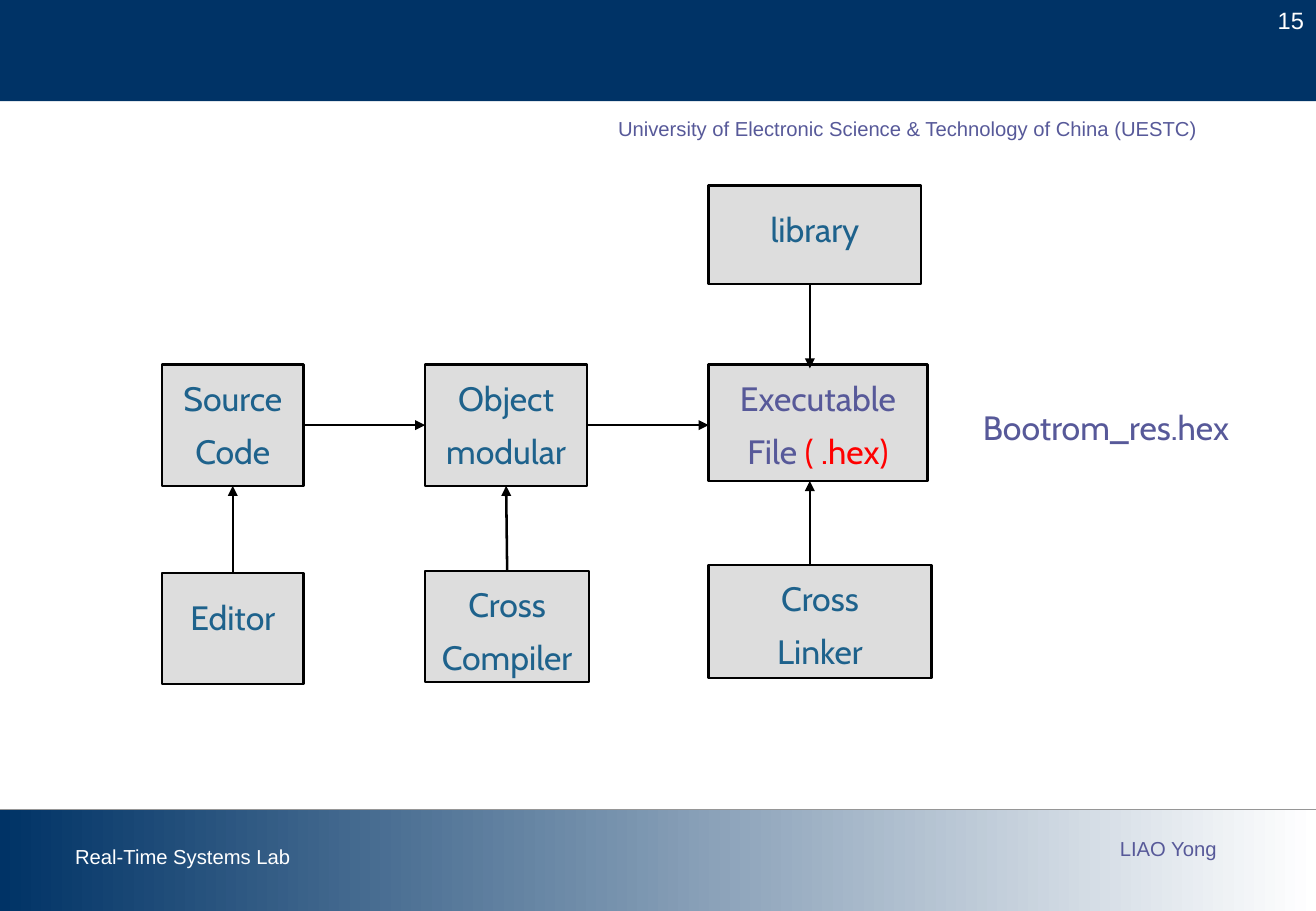
"""Builds the cross-development tool chain slide on a 65 by 45 grid."""
from dataclasses import dataclass
from typing import NamedTuple, Union

from lxml.etree import SubElement
from pptx import Presentation
from pptx.dml.color import RGBColor
from pptx.enum.shapes import MSO_CONNECTOR as Link, MSO_SHAPE as Preset
from pptx.enum.text import MSO_ANCHOR as Anchor, PP_ALIGN as Align
from pptx.oxml.ns import qn
from pptx.shapes.autoshape import Shape
from pptx.shapes.connector import Connector
from pptx.text.text import TextFrame
from pptx.util import Emu, Inches, Pt

COLUMNS, ROWS = 65, 45
TOP, LEFT, BOTTOM, RIGHT = range(4)


@dataclass(frozen=True)
class Theme:
    """Colours, fonts and sizes of the slide."""
    navy: str = "003366"
    white: str = "FFFFFF"
    rule: str = "969696"
    ink: str = "000000"
    panel: str = "DDDDDD"
    teal: str = "1E628C"
    violet: str = "575999"
    red: str = "FF0000"
    frame_font: str = "Arial"
    diagram_font: str = "Cabin"
    caption: int = 12
    page: int = 14
    diagram: int = 20
    hairline: float = 0.75
    outline: float = 1.5


THEME = Theme()


class Area(NamedTuple):
    """Left, top, width and height in grid units."""
    left: float
    top: float
    width: float
    height: float


class Point(NamedTuple):
    """A free position in grid units."""
    x: float
    y: float


class Side(NamedTuple):
    """The middle of one side of a named stage."""
    stage: str
    site: int


@dataclass(frozen=True)
class Stage:
    """One box of the tool chain."""
    name: str
    area: Area
    lines: tuple[str, ...]
    accent: str = ""
    color: str = THEME.teal
    spacing: float = 1.3


@dataclass(frozen=True)
class Flow:
    """One arrow of the tool chain."""
    start: Union[Point, Side]
    end: Union[Point, Side]


@dataclass(frozen=True)
class Label:
    """One free-standing line of text."""
    area: Area
    text: str
    color: str
    size: int = THEME.caption
    font: str = THEME.frame_font
    align: Align = Align.LEFT
    spacing: float = 1.0
    wrap: bool = False


STAGES = (
    Stage("editor", Area(8, 28.3, 7, 5.5), ("Editor",), spacing=1.55),
    Stage("compiler", Area(21, 28.2, 8.1, 5.5), ("Cross", "Compiler")),
    Stage("linker", Area(35, 27.9, 11, 5.6), ("Cross", "Linker")),
    Stage("source", Area(8, 18, 7, 6), ("Source Code",)),
    Stage("executable", Area(35, 18, 10.8, 5.76), ("Executable", "File"),
          accent=" ( .hex)", color=THEME.violet),
    Stage("library", Area(35, 9.17, 10.5, 4.86), ("library",), spacing=1.55),
    Stage("object", Area(21, 18, 8, 6), ("Object modular",)),
)
FLOWS = (
    Flow(Side("editor", TOP), Side("source", BOTTOM)),
    Flow(Side("compiler", TOP), Side("object", BOTTOM)),
    Flow(Point(40, 27.96), Point(40, 23.76)),
    Flow(Side("source", RIGHT), Side("object", LEFT)),
    Flow(Side("object", RIGHT), Point(35, 21)),
    Flow(Point(40, 14), Point(40, 18.2)),
)
LABELS = (
    Label(Area(61.2, 0, 3.8, 2), "15", THEME.white, THEME.page,
          align=Align.RIGHT, wrap=True),
    Label(Area(3.12, 41.4, 12.1, 1.8), "Real-Time Systems Lab", THEME.white),
    Label(Area(54.72, 41, 6.1, 1.8), "LIAO Yong", THEME.violet),
    Label(Area(29.94, 5.46, 35.06, 1.8),
          "University of Electronic Science & Technology of China (UESTC)",
          THEME.violet, wrap=True),
    Label(Area(47.76, 20, 13.74, 2.4), "Bootrom_res.hex", THEME.violet,
          THEME.diagram, THEME.diagram_font, Align.CENTER, 0.9),
)

deck = Presentation()
deck.slide_width, deck.slide_height = Inches(10.83), Inches(7.5)
slide = deck.slides.add_slide(deck.slide_layouts[6])


def rgb(code: str) -> RGBColor:
    """Turns a hex code into a colour."""
    return RGBColor.from_string(code)


def across(columns: float) -> Emu:
    """Converts grid columns to a length."""
    return Emu(round(deck.slide_width * columns / COLUMNS))


def down(rows: float) -> Emu:
    """Converts grid rows to a length."""
    return Emu(round(deck.slide_height * rows / ROWS))


def place(area: Area) -> tuple[Emu, Emu, Emu, Emu]:
    """Converts a grid area to lengths."""
    return across(area.left), down(area.top), across(area.width), down(area.height)


def write(frame: TextFrame, lines: tuple[str, ...], *, color: str, size: int,
          font: str, align: Align, spacing: float, accent: str = "",
          wrap: bool = True) -> None:
    """Fills a frame with formatted lines and an optional red ending."""
    frame.word_wrap, frame.vertical_anchor = wrap, Anchor.TOP
    for index, line in enumerate(lines):
        paragraph = frame.add_paragraph() if index else frame.paragraphs[0]
        paragraph.alignment, paragraph.line_spacing = align, spacing
        ending = accent if index == len(lines) - 1 else ""
        for words, tint in ((line, color), (ending, THEME.red)):
            if words:
                run = paragraph.add_run()
                run.text = words
                run.font.size, run.font.name = Pt(size), font
                run.font.color.rgb = rgb(tint)


def draw_band(area: Area, fade: str = "") -> None:
    """Draws a navy band, fading to the right on request."""
    band = slide.shapes.add_shape(Preset.RECTANGLE, *place(area))
    band.shadow.inherit = False
    band.line.fill.background()
    if fade:
        band.fill.gradient()
        band.fill.gradient_angle = 0
        for stop, tint in zip(band.fill.gradient_stops, (THEME.navy, fade)):
            stop.color.rgb = rgb(tint)
    else:
        band.fill.solid()
        band.fill.fore_color.rgb = rgb(THEME.navy)


def draw_stage(stage: Stage) -> Shape:
    """Draws one box with its wording."""
    box = slide.shapes.add_shape(Preset.RECTANGLE, *place(stage.area))
    box.shadow.inherit = False
    box.fill.solid()
    box.fill.fore_color.rgb = rgb(THEME.panel)
    box.line.color.rgb, box.line.width = rgb(THEME.ink), Pt(THEME.outline)
    frame = box.text_frame
    frame.margin_left = frame.margin_right = Inches(0.06)
    frame.margin_top = frame.margin_bottom = Inches(0.01)
    write(frame, stage.lines, color=stage.color, size=THEME.diagram,
          font=THEME.diagram_font, align=Align.CENTER, spacing=stage.spacing,
          accent=stage.accent)
    return box


def draw_line(start: Point, end: Point, color: str, weight: float) -> Connector:
    """Draws a straight line without shadow."""
    line = slide.shapes.add_connector(
        Link.STRAIGHT, across(start.x), down(start.y), across(end.x), down(end.y))
    line.line.color.rgb, line.line.width = rgb(color), Pt(weight)
    SubElement(line._element.spPr, qn("a:effectLst"))
    return line


def draw_flow(flow: Flow, boxes: dict[str, Shape]) -> None:
    """Draws one arrow and joins it to its boxes."""
    start, end = (Point(0, 0) if isinstance(spot, Side) else spot
                  for spot in (flow.start, flow.end))
    arrow = draw_line(start, end, THEME.ink, THEME.outline)
    SubElement(arrow.line._get_or_add_ln(), qn("a:tailEnd"), type="triangle")
    for spot, join in ((flow.start, arrow.begin_connect), (flow.end, arrow.end_connect)):
        if isinstance(spot, Side):
            join(boxes[spot.stage], spot.site)


def draw_label(label: Label) -> None:
    """Draws one free-standing text."""
    frame = slide.shapes.add_textbox(*place(label.area)).text_frame
    write(frame, (label.text,), color=label.color, size=label.size, font=label.font,
          align=label.align, spacing=label.spacing, wrap=label.wrap)


def main() -> None:
    """Draws the slide and saves it."""
    draw_line(Point(0, 5), Point(COLUMNS, 5), THEME.white, THEME.hairline)
    draw_band(Area(0, 0, COLUMNS, 5))
    draw_band(Area(0, 40, COLUMNS, 5), fade=THEME.white)
    draw_line(Point(0, 40), Point(COLUMNS, 40), THEME.rule, THEME.hairline)
    boxes = {stage.name: draw_stage(stage) for stage in STAGES}
    for flow in FLOWS:
        draw_flow(flow, boxes)
    for label in LABELS:
        draw_label(label)
    deck.save("out.pptx")


if __name__ == "__main__":
    main()
